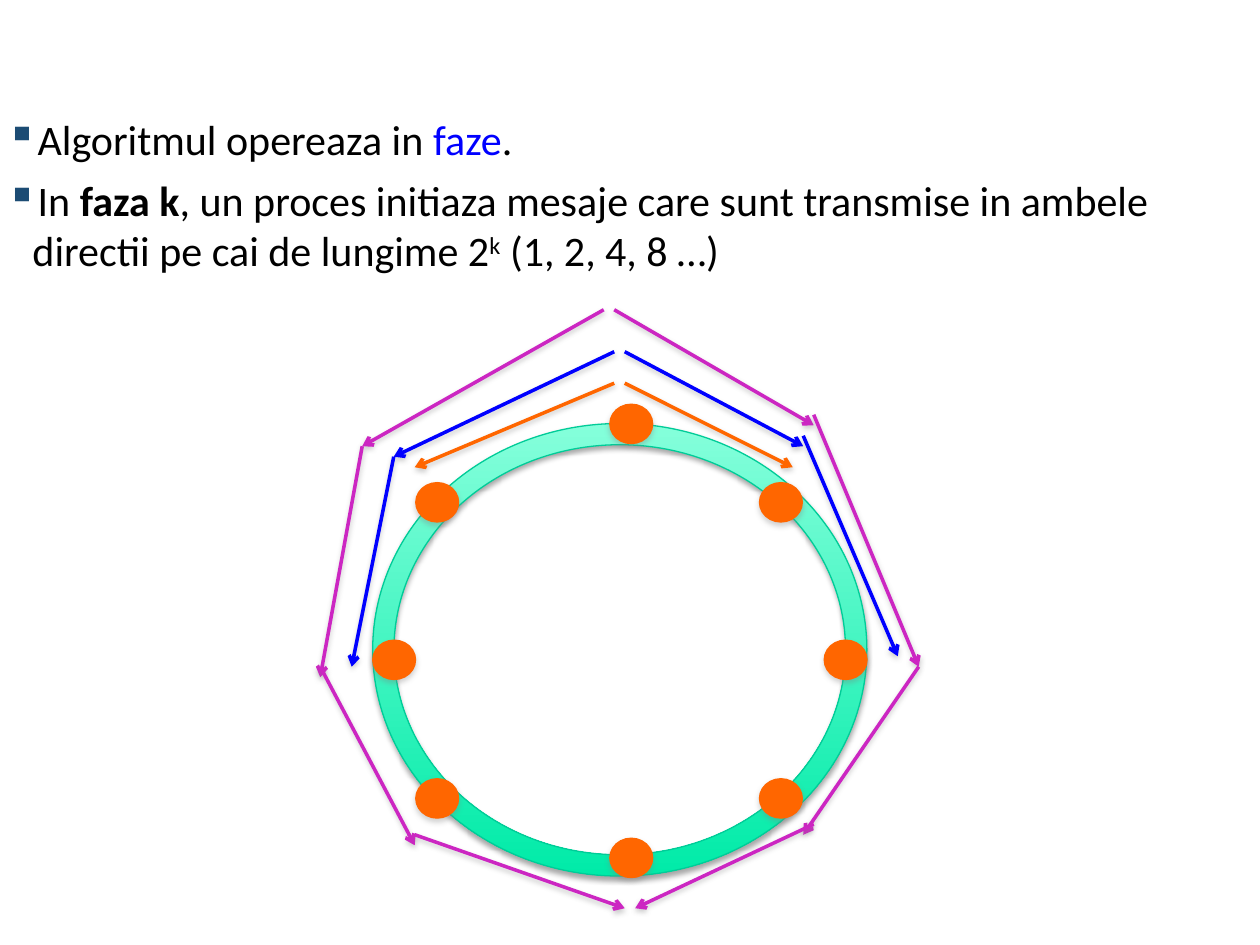
"""Slide on the phases of a ring election algorithm with messages sent both ways."""
from lxml.etree import SubElement
from pptx import Presentation
from pptx.dml.color import RGBColor as RGB
from pptx.enum.shapes import MSO_CONNECTOR as LINK, MSO_SHAPE as SHAPE
from pptx.oxml.ns import qn
from pptx.util import Pt

COLORS = {
    "text": "000000", "bullet": "1C4C74", "node": "FF6600",
    "phase0": "FF6600", "phase1": "0000FF", "phase2": "CC26C2",
    "ring_top": "85FFDB", "ring_bottom": "00EBA8", "ring_edge": "00CC98",
    "ring_shadow": "000000", "shadow": "808080",
}


def cast_shadow(part, color, opacity, distance):
    effects = SubElement(part._element.spPr, qn("a:effectLst"))
    outer = SubElement(effects, qn("a:outerShdw"), blurRad=str(Pt(3.1)),
                       dist=str(Pt(distance)), dir="5400000", rotWithShape="0")
    tint = SubElement(outer, qn("a:srgbClr"), val=COLORS[color])
    SubElement(tint, qn("a:alpha"), val=str(opacity * 1000))


def outline(part, color, width):
    part.line.color.rgb = RGB.from_string(COLORS[color])
    part.line.width = Pt(width)


prs = Presentation()
prs.slide_width, prs.slide_height = Pt(720), Pt(540)
slide = prs.slides.add_slide(prs.slide_layouts[6])
shapes = slide.shapes

statements = [
    [("Algoritmul opereaza in ", ""), ("faze", "accent"), (".", "")],
    [("In ", ""), ("faza k", "bold"),
     (", un proces initiaza mesaje care sunt transmise in ambele directii pe cai de lungime 2", ""),
     ("k", "super"), (" (1, 2, 4, 8 …)", "")],
]
explanation = shapes.add_textbox(Pt(3.6), Pt(61.2), Pt(690), Pt(120)).text_frame
explanation.word_wrap = True
explanation.margin_left = explanation.margin_right = 0
explanation.margin_top = explanation.margin_bottom = Pt(3.6)
for index, statement in enumerate(statements):
    paragraph = explanation.add_paragraph() if index else explanation.paragraphs[0]
    if index:
        paragraph.space_before = Pt(6)
    props = paragraph._p.get_or_add_pPr()
    props.set("marL", str(Pt(15)))
    props.set("indent", str(Pt(-15)))
    bullet_color = SubElement(props, qn("a:buClr"))
    SubElement(bullet_color, qn("a:srgbClr"), val=COLORS["bullet"])
    SubElement(props, qn("a:buChar"), char="▪")
    for words, style in statement:
        run = paragraph.add_run()
        run.text = words
        run.font.name, run.font.size = "Calibri", Pt(24)
        run.font.bold = style == "bold"
        run.font.color.rgb = RGB.from_string(COLORS["phase1" if style == "accent" else "text"])
        if style == "super":
            run._r.get_or_add_rPr().set("baseline", "30000")

ring = shapes.add_shape(SHAPE.DONUT, Pt(213), Pt(242), Pt(282.4), Pt(258.6))
ring.adjustments[0] = 0.047
ring.fill.gradient()
ring.fill.gradient_angle = 270
for stop, color, position in zip(ring.fill.gradient_stops, ("ring_top", "ring_bottom"), (0, 1)):
    stop.color.rgb = RGB.from_string(COLORS[color])
    stop.position = position
outline(ring, "ring_edge", 0.75)
cast_shadow(ring, "ring_shadow", 35, 1.8)

processes = [(237.6, 445), (348.5, 231), (348.5, 479), (213, 365.8),
             (471, 365.8), (434, 275.8), (237.6, 275.8), (434, 445)]
for left, top in processes:
    process = shapes.add_shape(SHAPE.FLOWCHART_CONNECTOR, Pt(left), Pt(top), Pt(24.5), Pt(22.5))
    process.fill.solid()
    process.fill.fore_color.rgb = RGB.from_string(COLORS["node"])
    outline(process, "node", 0.75)
    cast_shadow(process, "shadow", 35, 1.8)

messages = {
    "phase0": [(357, 219, 453, 267), (351, 219, 237, 267)],
    "phase1": [(351, 201, 225, 261), (225, 261, 201, 381),
               (357, 201, 459, 255), (459, 249, 513, 375)],
    "phase2": [(345, 177, 207, 255), (207, 255, 183, 387), (183, 381, 237, 483),
               (351, 177, 465, 243), (465, 237, 525, 381), (525, 381, 459, 477),
               (237, 477, 357, 519), (465, 471, 363, 519)],
}
for phase, hops in messages.items():
    for hop in hops:
        message = shapes.add_connector(LINK.STRAIGHT, *map(Pt, hop))
        outline(message, phase, 2)
        SubElement(message.line._get_or_add_ln(), qn("a:tailEnd"), type="arrow")
        cast_shadow(message, "shadow", 38, 1.6)

prs.save("out.pptx")
